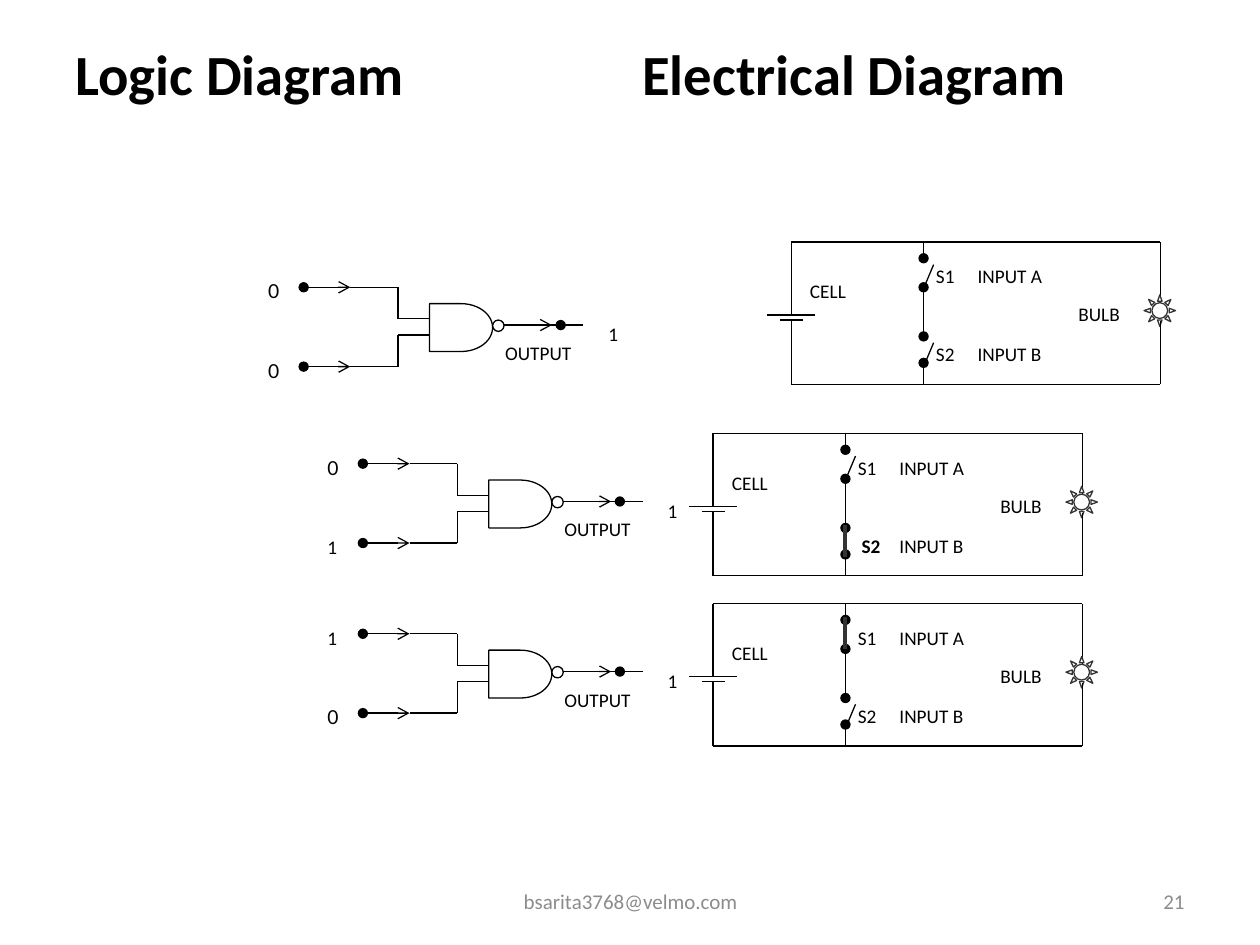
from lxml import etree
from pptx import Presentation
from pptx import util as u
from pptx.dml import color
from pptx.enum import shapes, text
from pptx.oxml import ns

COLORS = {"ink": "000000", "paper": "FFFFFF", "bar": "333333", "footer": "8C8C8C"}
FRAME_FORMAT = {
    "word_wrap": True,
    "margin_left": u.Inches(0.1),
    "margin_right": u.Inches(0.1),
    "margin_top": u.Inches(0.05),
    "margin_bottom": u.Inches(0.05),
}
SHAPE = shapes.MSO_SHAPE
ALIGN = text.PP_ALIGN
ANCHOR = text.MSO_ANCHOR


def rgb(name):
    return color.RGBColor.from_string(COLORS[name])


def inches(*lengths):
    return [u.Inches(length) for length in lengths]


def apply(target, values):
    for name, value in values.items():
        setattr(target, name, value)


def write(holder, words, size, ink="ink", font="Calibri", bold=False,
          align=ALIGN.LEFT, anchor=ANCHOR.TOP):
    frame = holder.text_frame
    apply(frame, {**FRAME_FORMAT, "vertical_anchor": anchor})
    paragraph = frame.paragraphs[0]
    paragraph.alignment = align
    run = paragraph.add_run()
    run.text = words
    apply(run.font, {"size": u.Pt(size), "name": font, "bold": bold})
    run.font.color.rgb = rgb(ink)
    return paragraph


def add_text(slide, box, words, size, **style):
    return write(slide.shapes.add_textbox(*inches(*box)), words, size, **style)


class Diagram:
    def __init__(self, slide, left, top):
        self.slide, self.left, self.top = slide, left, top

    def outline(self, kind, x, y, width, height, edge="ink"):
        part = self.slide.shapes.add_shape(
            kind, *inches(self.left + x, self.top + y, width, height))
        part.shadow.inherit = False
        part.fill.solid()
        part.fill.fore_color.rgb = rgb("paper")
        if edge:
            part.line.color.rgb = rgb(edge)
            part.line.width = u.Pt(0.75)
        else:
            part.line.fill.background()
        return part

    def label(self, words, x, y, width, height=0.25, **style):
        holder = self.outline(SHAPE.RECTANGLE, x, y, width, height, edge=None)
        write(holder, words, 11, **style).space_after = u.Pt(10)

    def wire(self, x1, y1, x2, y2, head=None, tail=None, ink="ink", weight=0.75):
        wire = self.slide.shapes.add_connector(
            shapes.MSO_CONNECTOR.STRAIGHT,
            *inches(self.left + x1, self.top + y1, self.left + x2, self.top + y2))
        wire.line.color.rgb = rgb(ink)
        wire.line.width = u.Pt(weight)
        properties = wire.line._get_or_add_ln().getparent()
        for tag, kind in (("a:headEnd", head), ("a:tailEnd", tail)):
            if kind:
                end = etree.SubElement(wire.line._get_or_add_ln(), ns.qn(tag))
                end.set("type", kind)
        etree.SubElement(properties, ns.qn("a:effectLst"))


def draw_logic(slide, left, top, inputs, output):
    logic = Diagram(slide, left, top)
    logic.label("OUTPUT", 1.5, 0.38, 0.88, 0.38)
    for bit, y, stub in zip(inputs, (0, 0.63), (0.25, 0.38)):
        logic.label(bit, -0.38, y - 0.11, 0.25,
                    font="Lato" if bit == "0" else "Calibri")
        logic.wire(0, y, 0.37, y, head="oval", tail="arrow")
        logic.wire(0.37, y, 0.75, y)
        logic.wire(0.75, y, 0.75, stub)
        logic.wire(0.75, stub, 1, stub)
    logic.label(output, 2.32, 0.23, 0.25)
    logic.outline(SHAPE.FLOWCHART_DELAY, 1, 0.13, 0.5, 0.38)
    logic.wire(1.59, 0.3, 1.97, 0.3, tail="arrow")
    logic.outline(SHAPE.OVAL, 1.5, 0.26, 0.09, 0.09)
    logic.wire(1.79, 0.3, 2.04, 0.3, tail="oval")
    logic.wire(1.98, 0.3, 2.22, 0.3)


def draw_circuit(slide, left, top, closed=None, bold=None):
    circuit = Diagram(slide, left, top)
    right, bottom, branch = 2.93, 1.13, 1.05
    switches = (("S1", "INPUT A", 0.13), ("S2", "INPUT B", 0.75))
    circuit.label("CELL", 0.05, 0.25, 0.75)
    circuit.label("BULB", 2.18, 0.43, 0.75)
    for name, source, y in switches:
        nudge = 0.03 if name == bold else 0
        circuit.label(name, branch + nudge, y, 0.5, bold=name == bold)
        circuit.label(source, branch + 0.33, y, 0.88)

    for y in (0, bottom):
        circuit.wire(0, y, right, y)
    circuit.wire(right, 0.5, right, 0)
    circuit.outline(SHAPE.SUN, right - 0.13, 0.42, 0.25, 0.25, edge="bar")
    circuit.wire(right, bottom, right, 0.63)

    for y, reach in ((0.58, 0.19), (0.62, 0.09)):
        circuit.wire(-reach, y, reach, y)
    circuit.wire(0, 0.58, 0, 0)
    circuit.wire(0, bottom, 0, 0.62)

    circuit.wire(branch, 0, branch, 0.13, tail="oval")
    circuit.wire(branch, 0.36, branch, 0.75, head="oval", tail="oval")
    circuit.wire(branch, 0.96, branch, bottom, head="oval")
    for name, _, y in switches:
        if name == closed:
            circuit.wire(branch, y - 0.02, branch, y + 0.23, ink="bar", weight=2.25)
        else:
            circuit.wire(branch, y + 0.24, branch + 0.08, y + 0.05)


def draw_headings(slide, box):
    headings = add_text(slide, box, "Logic Diagram\tElectrical Diagram", 32.4,
                        bold=True, anchor=ANCHOR.MIDDLE)
    stops = etree.SubElement(headings._p.get_or_add_pPr(), ns.qn("a:tabLst"))
    stop = etree.SubElement(stops, ns.qn("a:tab"))
    stop.set("pos", str(u.Inches(4.5)))
    stop.set("algn", "l")


def draw_footer(slide, top, height):
    style = {"ink": "footer", "anchor": ANCHOR.MIDDLE}
    add_text(slide, (3.42, top, 3.17, height), "bsarita3768@velmo.com", 12,
             align=ALIGN.CENTER, **style)
    add_text(slide, (7.17, top, 2.33, height), "21", 12, align=ALIGN.RIGHT, **style)


def main():
    deck = Presentation()
    apply(deck, {"slide_width": u.Inches(10), "slide_height": u.Inches(7.5)})
    slide = deck.slides.add_slide(deck.slide_layouts[6])
    draw_headings(slide, (0.5, 0.25, 9, 0.65))
    cases = (
        ((2.41, 2.28), "00", (6.28, 1.92), {}),
        ((2.88, 3.68), "01", (5.66, 3.44), {"closed": "S2", "bold": "S2"}),
        ((2.88, 5.03), "10", (5.66, 4.79), {"closed": "S1"}),
    )
    for logic_at, inputs, circuit_at, switching in cases:
        draw_logic(slide, *logic_at, inputs, "1")
        draw_circuit(slide, *circuit_at, **switching)
    draw_footer(slide, 6.95, 0.4)
    deck.save("out.pptx")


if __name__ == "__main__":
    main()
